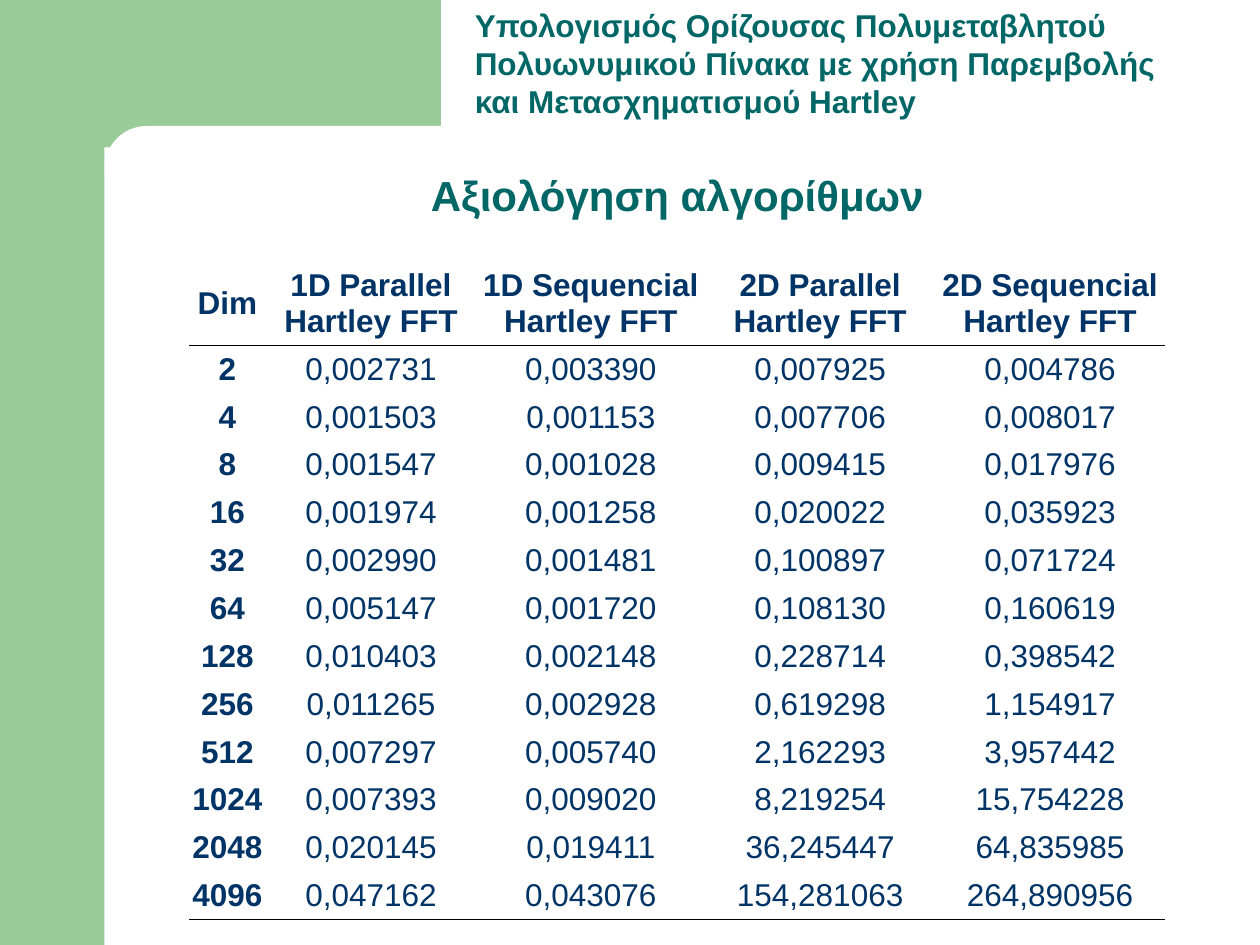
"""Build the slide that compares Hartley FFT timings."""
import lxml.etree
import pptx
import pptx.dml.color
import pptx.enum.shapes
import pptx.enum.text
import pptx.oxml.ns
import pptx.util

Inches = pptx.util.Inches
Pt = pptx.util.Pt
RGBColor = pptx.dml.color.RGBColor
MSO_ANCHOR = pptx.enum.text.MSO_ANCHOR
MSO_SHAPE = pptx.enum.shapes.MSO_SHAPE
PP_ALIGN = pptx.enum.text.PP_ALIGN
qn = pptx.oxml.ns.qn

GREEN = RGBColor(0x99, 0xCC, 0x99)
TEAL = RGBColor(0x00, 0x66, 0x66)
NAVY = RGBColor(0x00, 0x33, 0x66)
WHITE = RGBColor(0xFF, 0xFF, 0xFF)
BLACK = RGBColor(0x00, 0x00, 0x00)
FONT = "Arial"
PLAIN_TABLE_STYLE = "{2D5ABB26-0587-4C30-8999-92F81FD0307C}"

HEADING = ("Υπολογισμός Ορίζουσας Πολυμεταβλητού Πολυωνυμικού Πίνακα "
           "με χρήση Παρεμβολής και Μετασχηματισμού Hartley")
TITLE = "Αξιολόγηση αλγορίθμων"
COLUMN_WIDTHS = (0.61, 1.67, 1.82, 1.82, 1.83)
HEADER_HEIGHT = 0.6
ROW_HEIGHT = 0.35
HEADER_MARGIN = 0.03
ROW_MARGIN = 0.04
TIMINGS = (
    ("Dim", "1D Parallel Hartley FFT", "1D Sequencial Hartley FFT",
     "2D Parallel Hartley FFT", "2D Sequencial Hartley FFT"),
    ("2", "0,002731", "0,003390", "0,007925", "0,004786"),
    ("4", "0,001503", "0,001153", "0,007706", "0,008017"),
    ("8", "0,001547", "0,001028", "0,009415", "0,017976"),
    ("16", "0,001974", "0,001258", "0,020022", "0,035923"),
    ("32", "0,002990", "0,001481", "0,100897", "0,071724"),
    ("64", "0,005147", "0,001720", "0,108130", "0,160619"),
    ("128", "0,010403", "0,002148", "0,228714", "0,398542"),
    ("256", "0,011265", "0,002928", "0,619298", "1,154917"),
    ("512", "0,007297", "0,005740", "2,162293", "3,957442"),
    ("1024", "0,007393", "0,009020", "8,219254", "15,754228"),
    ("2048", "0,020145", "0,019411", "36,245447", "64,835985"),
    ("4096", "0,047162", "0,043076", "154,281063", "264,890956"),
)


def add_block(slide, kind, left, top, width, height, color):
    """Add a filled shape without outline or shadow."""
    shape = slide.shapes.add_shape(
        kind, Inches(left), Inches(top), Inches(width), Inches(height))
    shape.shadow.inherit = False
    shape.fill.solid()
    shape.fill.fore_color.rgb = color
    shape.line.fill.background()
    return shape


def add_run(paragraph, text, size, color, bold):
    """Add one formatted run to a paragraph."""
    run = paragraph.add_run()
    run.text = text
    run.font.name = FONT
    run.font.size = Pt(size)
    run.font.bold = bold
    run.font.color.rgb = color


def add_text(slide, left, top, width, height, text, size, anchor, alignment):
    """Add a wrapped bold text box and return its paragraph."""
    box = slide.shapes.add_textbox(
        Inches(left), Inches(top), Inches(width), Inches(height))
    frame = box.text_frame
    frame.word_wrap = True
    frame.vertical_anchor = anchor
    paragraph = frame.paragraphs[0]
    paragraph.alignment = alignment
    add_run(paragraph, text, size, TEAL, True)
    return paragraph


def add_bottom_border(cell):
    """Draw a thin black border below a cell."""
    properties = cell._tc.get_or_add_tcPr()
    line = lxml.etree.SubElement(properties, qn("a:lnB"), w=str(Pt(0.45)))
    fill = lxml.etree.SubElement(line, qn("a:solidFill"))
    lxml.etree.SubElement(fill, qn("a:srgbClr"), val=str(BLACK))


def fill_cell(cell, text, bold, margin):
    """Write centred text into an unfilled cell."""
    cell.fill.background()
    cell.margin_left = cell.margin_right = Inches(0.02)
    cell.margin_top = cell.margin_bottom = Inches(margin)
    cell.vertical_anchor = MSO_ANCHOR.MIDDLE
    paragraph = cell.text_frame.paragraphs[0]
    paragraph.alignment = PP_ALIGN.CENTER
    add_run(paragraph, text, 18, NAVY, bold)


def add_timing_table(slide):
    """Add the table of timings with rules below the header and last row."""
    last_row = len(TIMINGS) - 1
    height = HEADER_HEIGHT + last_row * ROW_HEIGHT
    frame = slide.shapes.add_table(
        len(TIMINGS), len(COLUMN_WIDTHS), Inches(1.5), Inches(2.08),
        Inches(sum(COLUMN_WIDTHS)), Inches(height))
    table = frame.table
    table.first_row = table.horz_banding = False
    table._tbl.tblPr.find(qn("a:tableStyleId")).text = PLAIN_TABLE_STYLE
    for column, width in zip(table.columns, COLUMN_WIDTHS):
        column.width = Inches(width)
    for row_index, values in enumerate(TIMINGS):
        is_header = row_index == 0
        row = table.rows[row_index]
        row.height = Inches(HEADER_HEIGHT if is_header else ROW_HEIGHT)
        margin = HEADER_MARGIN if is_header else ROW_MARGIN
        for column_index, value in enumerate(values):
            cell = row.cells[column_index]
            if row_index in (0, last_row):
                add_bottom_border(cell)
            fill_cell(cell, value, is_header or column_index == 0, margin)


def main():
    """Build and save the presentation."""
    presentation = pptx.Presentation()
    presentation.slide_width = Inches(10)
    presentation.slide_height = Inches(7.5)
    slide = presentation.slides.add_slide(presentation.slide_layouts[6])
    add_block(slide, MSO_SHAPE.RECTANGLE, 0, 0, 0.83, 7.5, GREEN)
    add_block(slide, MSO_SHAPE.RECTANGLE, 0.75, 0, 2.75, 1.17, GREEN)
    panel = add_block(
        slide, MSO_SHAPE.ROUNDED_RECTANGLE, 0.83, 1, 5.58, 0.67, WHITE)
    panel.adjustments[0] = 0.5
    add_text(slide, 3.67, 0, 5.67, 1, HEADING, 18,
             MSO_ANCHOR.TOP, PP_ALIGN.LEFT)
    title = add_text(slide, 1, 1.25, 8.75, 0.55, TITLE, 24,
                     MSO_ANCHOR.BOTTOM, PP_ALIGN.CENTER)
    title.line_spacing = 0.9
    add_timing_table(slide)
    presentation.save("out.pptx")


if __name__ == "__main__":
    main()
